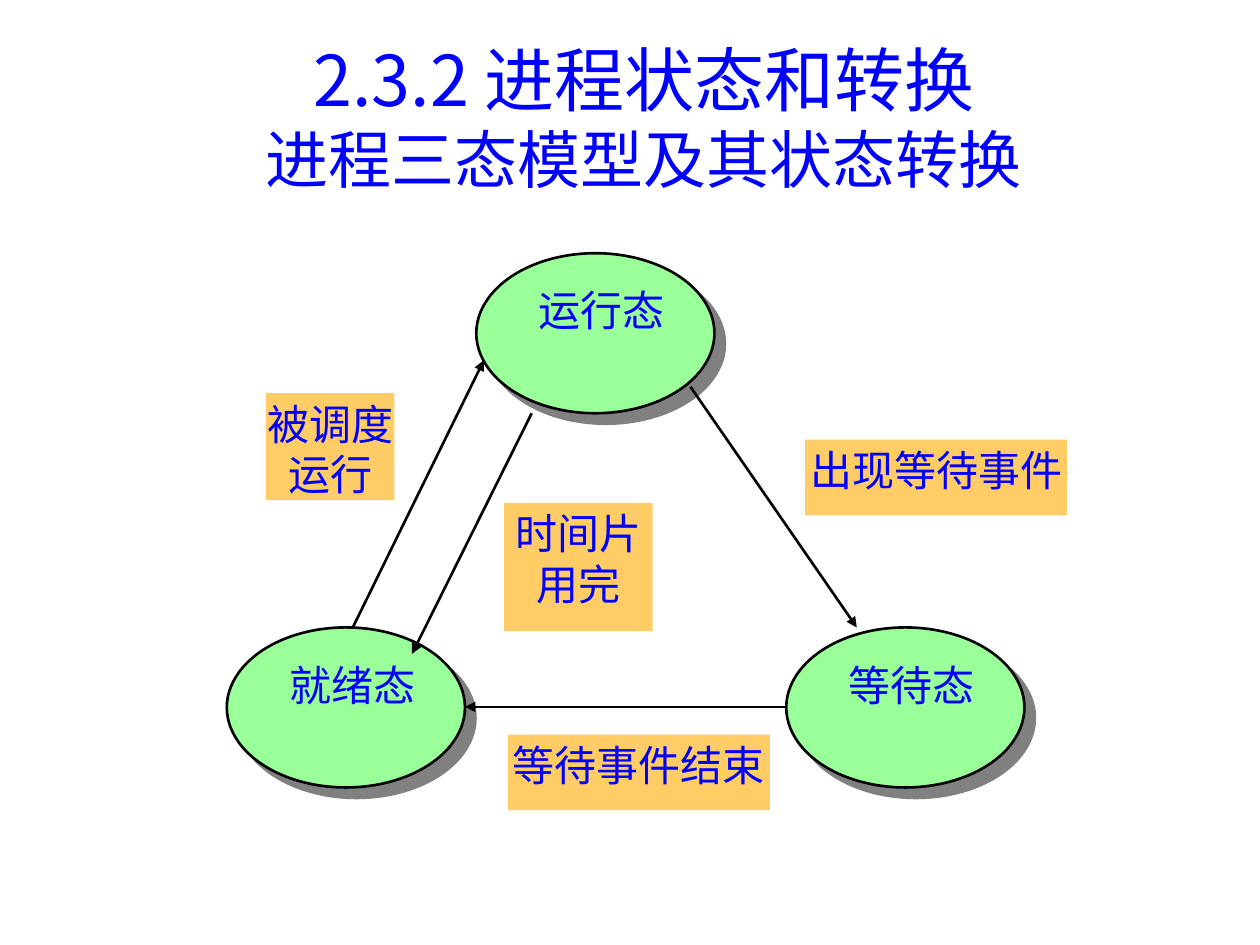
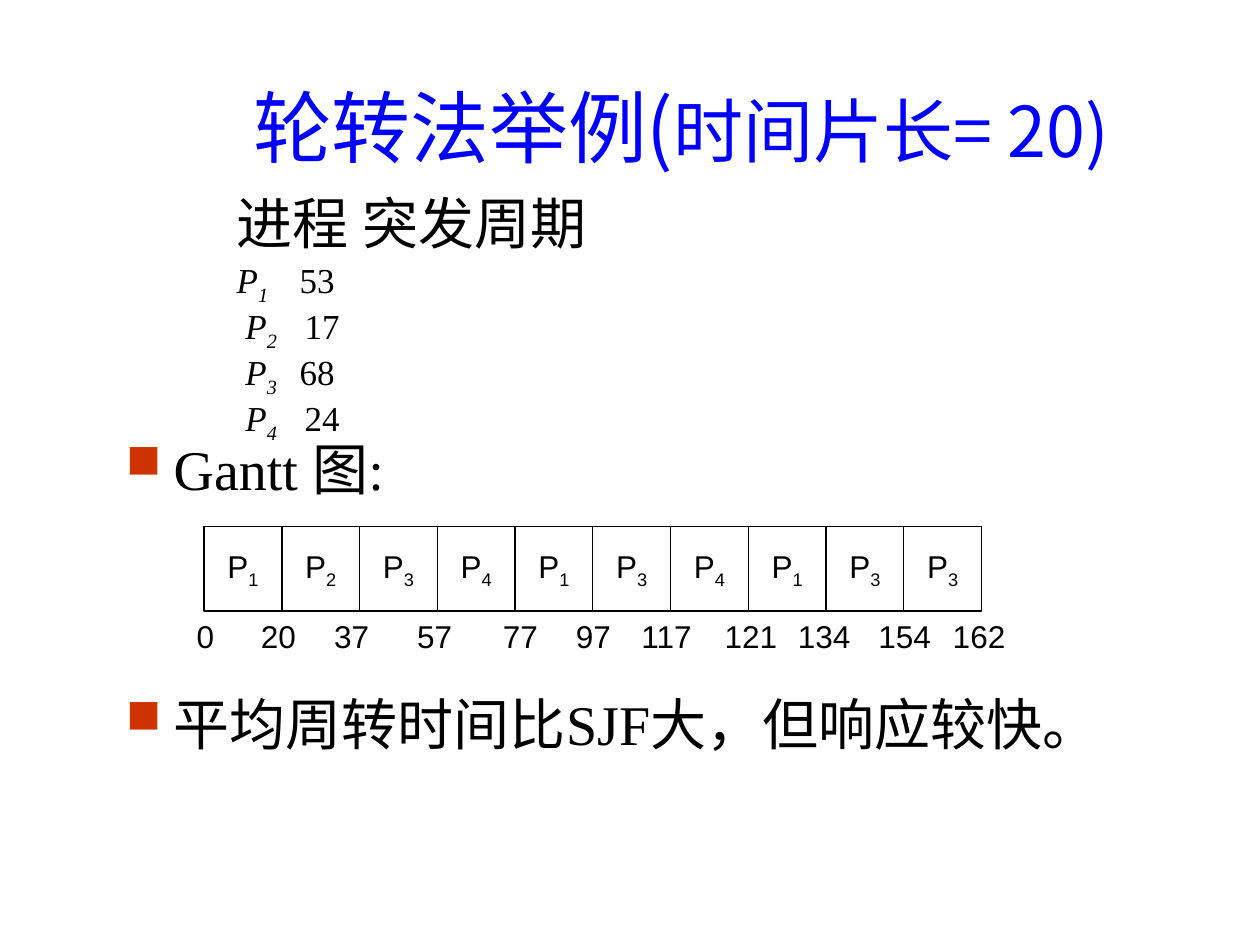
from dataclasses import dataclass
from typing import NamedTuple

from lxml import etree
from pptx import Presentation
from pptx import util as u
from pptx.dml.color import RGBColor
from pptx.enum import shapes, text
from pptx.oxml import ns

COLORS = {
    "title": "0000FF", "ink": "000000", "paper": "FFFFFF", "state": "99FF99",
    "event": "FFCC66", "shadow": "808080", "bullet": "CC3300",
}
CJK, SERIF, SANS = "Noto Sans CJK JP", "Times New Roman", "Arial"
WIDTH, HEIGHT = u.Inches(10), u.Inches(7.5)
COLUMN, ROW = WIDTH / 100, HEIGHT / 75
SUBSCRIPT = "-25000"


class Area(NamedTuple):
    left: float
    top: float
    width: float
    height: float


class Arrow(NamedTuple):
    x1: float
    y1: float
    x2: float
    y2: float


class Style(NamedTuple):
    font: str
    size: float
    color: str


class Span(NamedTuple):
    words: str
    size: float = 0
    italic: bool = False
    lowered: bool = False


@dataclass
class State:
    name: str
    left: float
    top: float


@dataclass
class Event:
    name: str
    area: Area


@dataclass
class Process:
    number: int
    burst: int
    lead: str = ""
    gap: str = ""


TITLE = Style(CJK, 40, "title")
LABEL = Style(CJK, 24, "title")
BODY = Style(SERIF, 20, "ink")
CHART = Style(SANS, 18, "ink")

STATES = [State("运行态", 37.8, 20.1), State("就绪态", 18, 49.8), State("等待态", 62.4, 49.8)]
STATE_SIZE = (18.9, 12.7)
TRANSITIONS = [
    Arrow(28, 49.8, 38.4, 28.6), Arrow(42.2, 32.8, 32.7, 51.9),
    Arrow(54.8, 30.7, 68, 49.8), Arrow(62.4, 56.1, 36.9, 56.1),
]
EVENTS = [
    Event("被调度运行", Area(21.1, 31.2, 10.2, 8.5)),
    Event("时间片用完", Area(40, 39.9, 11.8, 10.2)),
    Event("出现等待事件", Area(63.9, 34.9, 20.8, 6)),
    Event("等待事件结束", Area(40.3, 58.3, 20.8, 6)),
]
PROCESSES = [Process(1, 53), Process(2, 17, " ", " "), Process(3, 68, " "), Process(4, 24, " ", " ")]
GANTT = Area(16.2, 41.8, 61.7, 6.7)
SLICES = [1, 2, 3, 4, 1, 3, 4, 1, 3, 3]
TIMES = {
    0: 16.3, 20: 22.1, 37: 27.9, 57: 34.5, 77: 41.3, 97: 47.1,
    117: 52.9, 121: 59.6, 134: 65.4, 154: 71.8, 162: 77.7,
}


def rgb(name: str) -> RGBColor:
    return RGBColor.from_string(COLORS[name])


def place(area: Area) -> tuple:
    return (u.Emu(round(area.left * COLUMN)), u.Emu(round(area.top * ROW)),
            u.Emu(round(area.width * COLUMN)), u.Emu(round(area.height * ROW)))


def child(parent, tag: str, **attributes: str):
    element = etree.SubElement(parent, ns.qn(tag))
    for key, value in attributes.items():
        element.set(key, value)
    return element


def add_spans(para, style: Style, spans: list[Span]) -> None:
    for span in spans:
        run = para.add_run()
        run.text = span.words
        run.font.name = style.font
        run.font.size = u.Pt(span.size or style.size)
        run.font.italic = span.italic
        run.font.color.rgb = rgb(style.color)
        properties = run.font._element
        if span.lowered:
            properties.set("baseline", SUBSCRIPT)
        properties.find(ns.qn("a:latin")).addnext(
            properties.makeelement(ns.qn("a:ea"), {"typeface": CJK}))


def add_box(page, area: Area, wrap: bool = True):
    box = page.shapes.add_textbox(*place(area))
    box.text_frame.word_wrap = wrap
    box.text_frame.vertical_anchor = text.MSO_ANCHOR.MIDDLE
    box.text_frame.paragraphs[0].alignment = text.PP_ALIGN.CENTER
    return box


def add_title(page, area: Area, lines: list[list[Span]]) -> None:
    para = add_box(page, area).text_frame.paragraphs[0]
    for index, spans in enumerate(lines):
        if index:
            para.add_line_break()
        add_spans(para, TITLE, spans)


def add_figure(page, kind, area: Area, fill: str, line: float = 0):
    figure = page.shapes.add_shape(kind, *place(area))
    figure.shadow.inherit = False
    figure.fill.solid()
    figure.fill.fore_color.rgb = rgb(fill)
    if line:
        figure.line.color.rgb = rgb("ink")
        figure.line.width = u.Pt(line)
    else:
        figure.line.fill.background()
    return figure


def add_label(page, words: str, area: Area, fill: str) -> None:
    frame = add_figure(page, shapes.MSO_SHAPE.RECTANGLE, area, fill).text_frame
    frame.margin_left = frame.margin_right = frame.margin_bottom = 0
    frame.margin_top = u.Inches(0.04)
    frame.word_wrap = True
    frame.vertical_anchor = text.MSO_ANCHOR.TOP
    para = frame.paragraphs[0]
    para.alignment = text.PP_ALIGN.CENTER
    add_spans(para, LABEL, [Span(words)])


def add_state(page, state: State) -> None:
    oval = add_figure(page, shapes.MSO_SHAPE.OVAL, Area(state.left, state.top, *STATE_SIZE), "state", 1.5)
    effects = oval._element.spPr.find(ns.qn("a:effectLst"))
    shadow = child(effects, "a:outerShdw", dist=str(u.Pt(8.5)), dir="2700000", algn="ctr", rotWithShape="0")
    child(shadow, "a:srgbClr", val=COLORS["shadow"])


def add_arrow(page, arrow: Arrow) -> None:
    start = place(Area(arrow.x1, arrow.y1, 0, 0))[:2]
    end = place(Area(arrow.x2, arrow.y2, 0, 0))[:2]
    line = page.shapes.add_connector(shapes.MSO_CONNECTOR.STRAIGHT, *start, *end)
    line.line.color.rgb = rgb("ink")
    line.line.width = u.Pt(1.5)
    child(line.line._get_or_add_ln(), "a:tailEnd", type="triangle")
    child(line._element.spPr, "a:effectLst")


def add_body_line(para, spans: list[Span], before: float = 4.5, bullet: bool = False) -> None:
    para.line_spacing = 0.8
    para.space_before = u.Pt(before)
    properties = para._p.get_or_add_pPr()
    indent = u.Inches(0.38)
    properties.set("marL", str(indent))
    properties.set("indent", str(-indent))
    if bullet:
        child(child(properties, "a:buClr"), "a:srgbClr", val=COLORS["bullet"])
        child(properties, "a:buSzPct", val="85000")
        child(properties, "a:buChar", char="■")
    else:
        child(properties, "a:buNone")
        stops = child(properties, "a:tabLst")
        for inches in (2.43, 4.37):
            child(stops, "a:tab", pos=str(u.Inches(inches)), algn="ctr")
    add_spans(para, BODY, spans)


def add_body(page) -> None:
    frame = add_box(page, Area(9, 15.5, 80.4, 52)).text_frame
    frame.vertical_anchor = text.MSO_ANCHOR.TOP
    heading = frame.paragraphs[0]
    heading.alignment = text.PP_ALIGN.LEFT
    add_body_line(heading, [Span("\t\t"), Span("进程", 32), Span("\t"), Span("突发周期", 32)])
    for process in PROCESSES:
        add_body_line(frame.add_paragraph(), [
            Span("\t\t" + process.lead), Span("P", italic=True),
            Span(f"{process.number}\t{process.gap}", italic=True, lowered=True),
            Span(str(process.burst)),
        ])
    add_body_line(frame.add_paragraph(), [Span("Gantt 图:", 32)], bullet=True)
    add_body_line(frame.add_paragraph(), [Span("平均周转时间比SJF大，但响应较快。", 32)], 115, True)


def add_gantt(page) -> None:
    step = GANTT.width / len(SLICES)
    for index, number in enumerate(SLICES):
        area = Area(GANTT.left + index * step, GANTT.top, step, GANTT.height)
        cell = add_figure(page, shapes.MSO_SHAPE.RECTANGLE, area, "paper", 0.75)
        cell.text_frame.word_wrap = False
        cell.text_frame.vertical_anchor = text.MSO_ANCHOR.MIDDLE
        para = cell.text_frame.paragraphs[0]
        para.alignment = text.PP_ALIGN.CENTER
        add_spans(para, CHART, [Span("P"), Span(str(number), lowered=True)])
    for time, center in TIMES.items():
        width = 2 + 1.4 * len(str(time))
        area = Area(center - width / 2, GANTT.top + GANTT.height, width, 4)
        box = add_box(page, area, wrap=False)
        add_spans(box.text_frame.paragraphs[0], CHART, [Span(str(time))])


def draw_states(page) -> None:
    add_title(page, Area(6.5, 3, 89.2, 12.5),
              [[Span("2.3.2 进程状态和转换")], [Span("进程三态模型及其状态转换", 36)]])
    for state in STATES:
        add_state(page, state)
    for arrow in TRANSITIONS:
        add_arrow(page, arrow)
    for state in STATES:
        add_label(page, state.name, Area(state.left + 4.3, state.top + 2.1, 11.3, 8.5), "state")
    for event in EVENTS:
        add_label(page, event.name, event.area, "event")


def draw_round_robin(page) -> None:
    add_title(page, Area(10, 5.4, 88.1, 9.2), [[Span("轮转法举例(", 45), Span("时间片长= 20)")]])
    add_body(page)
    add_gantt(page)


def main() -> None:
    deck = Presentation()
    deck.slide_width, deck.slide_height = WIDTH, HEIGHT
    for draw in (draw_states, draw_round_robin):
        draw(deck.slides.add_slide(deck.slide_layouts[6]))
    deck.save("out.pptx")


if __name__ == "__main__":
    main()
